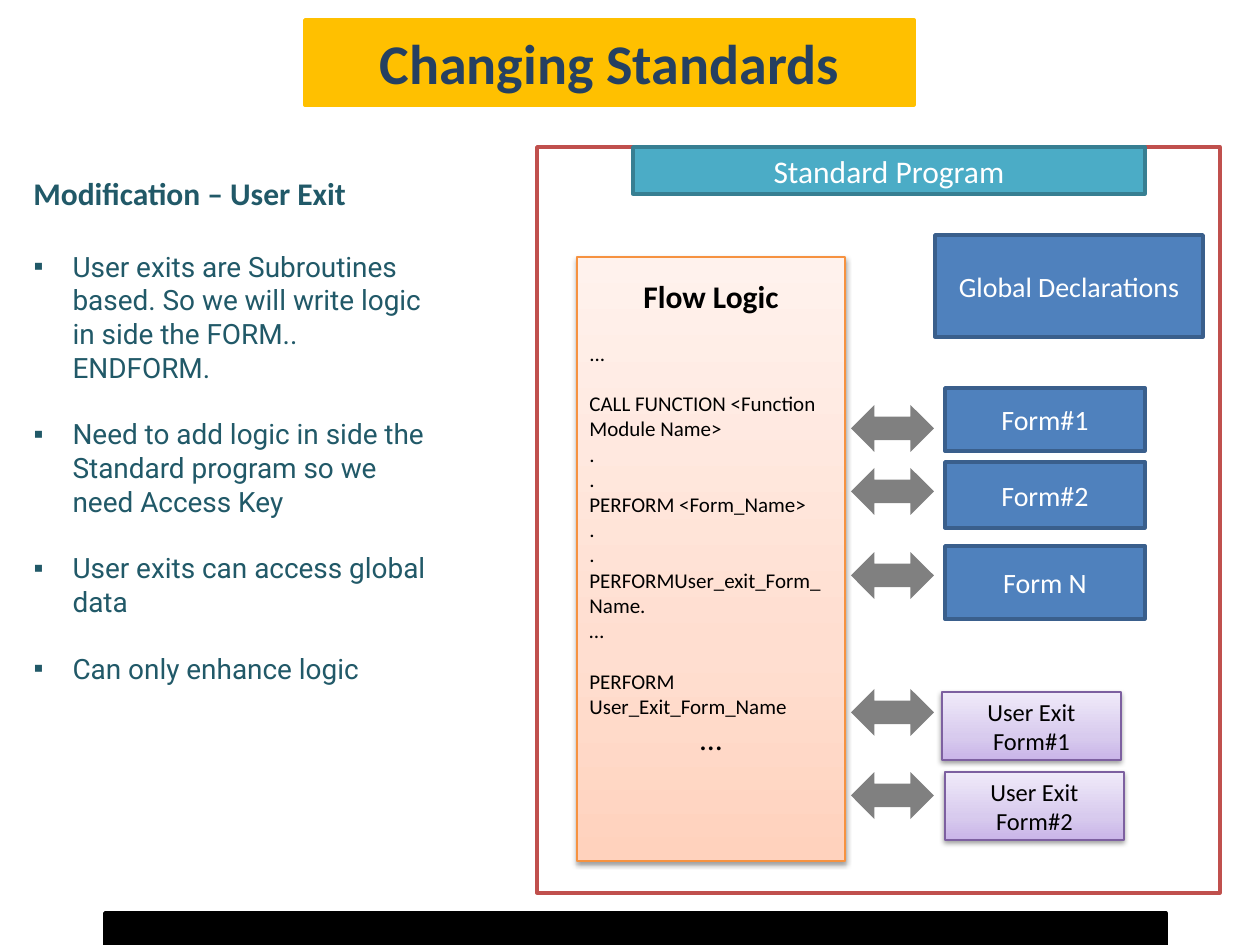
from copy import deepcopy
from dataclasses import dataclass

from lxml import etree
from pptx import Presentation
from pptx.dml.color import RGBColor
from pptx.enum.shapes import MSO_SHAPE
from pptx.enum.text import MSO_ANCHOR, MSO_AUTO_SIZE, PP_ALIGN
from pptx.oxml.ns import qn
from pptx.util import Emu, Pt

RECT, ARROW = MSO_SHAPE.RECTANGLE, MSO_SHAPE.LEFT_RIGHT_ARROW
TOP, MIDDLE = MSO_ANCHOR.TOP, MSO_ANCHOR.MIDDLE
LEFT, CENTER = PP_ALIGN.LEFT, PP_ALIGN.CENTER
NO_FIT = MSO_AUTO_SIZE.NONE
SCALE = 914400 / 126


@dataclass(frozen=True)
class Theme:
    font: str = "Calibri"
    list_font: str = "Roboto"
    gold: str = "FFC000"
    navy: str = "254061"
    teal: str = "215968"
    black: str = "000000"
    white: str = "FFFFFF"
    red: str = "C0504D"
    aqua: str = "4BACC6"
    aqua_edge: str = "377F92"
    blue: str = "4F81BD"
    blue_edge: str = "3A5F8C"
    gray: str = "808080"
    peach: tuple = ("FFD2BD", "FFDED0", "FFF2ED")
    peach_edge: str = "F69240"
    lilac: tuple = ("C9B5E8", "D8CBEE", "F0EAF9")
    lilac_edge: str = "7D60A0"
    title: int = 32
    head: int = 18
    body: int = 16
    note: int = 14
    code: int = 12


def px(num):
    return Emu(round(num * SCALE))


def rgb(code):
    return RGBColor.from_string(code)


class Board:
    """Holds the theme and the current slide, and draws each kind of element."""

    def __init__(self, slide, theme):
        self.slide, self.theme = slide, theme

    def place(self, shape, at):
        shape.left, shape.top, shape.width, shape.height = map(px, at)

    def paint(self, shape, fill, edge, width=2):
        shape.fill.solid()
        shape.fill.fore_color.rgb = rgb(fill)
        if edge:
            shape.line.color.rgb = rgb(edge)
            shape.line.width = Pt(width)
        else:
            shape.line.fill.background()

    def shade(self, shape, tones):
        shape.fill.gradient()
        shape.fill.gradient_angle = 90
        props = shape._element.spPr
        stops = props.find(".//" + qn("a:gsLst"))
        stops.insert(1, deepcopy(stops[0]))
        for stop, spot, tone in zip(shape.fill.gradient_stops, (0, 0.35, 1), tones):
            stop.position = spot
            stop.color.rgb = rgb(tone)
        drop = etree.SubElement(props.find(qn("a:effectLst")), qn("a:outerShdw"),
                                blurRad=str(Pt(3.1)), dist=str(Pt(1.6)),
                                dir="5400000", rotWithShape="0")
        color = etree.SubElement(drop, qn("a:srgbClr"), val=self.theme.black)
        etree.SubElement(color, qn("a:alpha"), val="38000")

    def frame(self, shape, anchor):
        frame = shape.text_frame
        frame.word_wrap = True
        frame.auto_size = NO_FIT
        frame.vertical_anchor = anchor
        return frame

    def text(self, para, words, size, color, bold=False, align=CENTER, gap=0, font=None):
        para.alignment = align
        para.space_before = Pt(gap)
        run = para.add_run()
        run.text = words
        run.font.name = font or self.theme.font
        run.font.size = Pt(size)
        run.font.bold = bold
        run.font.color.rgb = rgb(color)

    def title(self, at, words):
        shape = self.slide.shapes.title
        self.place(shape, at)
        self.paint(shape, self.theme.gold, self.theme.gold)
        para = self.frame(shape, MIDDLE).paragraphs[0]
        self.text(para, words, self.theme.title, self.theme.navy, True)

    def bullets(self, at, items, gap):
        shape = self.slide.placeholders[1]
        self.place(shape, at)
        frame = self.frame(shape, TOP)
        for num, item in enumerate(items):
            para = frame.add_paragraph() if num else frame.paragraphs[0]
            props = para._p.get_or_add_pPr()
            props.set("marL", str(px(39)))
            props.set("indent", str(-px(39)))
            etree.SubElement(props, qn("a:buChar"), char="▪")
            self.text(para, item, self.theme.body, self.theme.teal, align=LEFT,
                      gap=gap if num else 0, font=self.theme.list_font)

    def label(self, at, words):
        shape = self.slide.shapes.add_textbox(*map(px, at))
        para = self.frame(shape, TOP).paragraphs[0]
        self.text(para, words, self.theme.head, self.theme.teal, True, LEFT)

    def shape(self, at, fill, edge=None, kind=RECT):
        shape = self.slide.shapes.add_shape(kind, *map(px, at))
        shape.shadow.inherit = False
        self.paint(shape, fill, edge)
        return shape

    def box(self, at, words, fill, edge, size):
        shape = self.shape(at, fill, edge)
        para = self.frame(shape, MIDDLE).paragraphs[0]
        self.text(para, words, size, self.theme.white)

    def card(self, at, tones, edge, anchor=MIDDLE):
        shape = self.shape(at, tones[0])
        self.shade(shape, tones)
        shape.line.color.rgb = rgb(edge)
        shape.line.width = Pt(0.75)
        return self.frame(shape, anchor)

    def hook(self, at, words):
        frame = self.card(at, self.theme.lilac, self.theme.lilac_edge)
        self.text(frame.paragraphs[0], words, self.theme.note, self.theme.black)

    def flow(self, at, head, lines, last, gap):
        look = self.theme
        frame = self.card(at, look.peach, look.peach_edge, TOP)
        frame.margin_top = px(20)
        self.text(frame.paragraphs[0], head, look.head, look.black, True)
        for words, apart in lines:
            self.text(frame.add_paragraph(), words, look.code, look.black,
                      align=LEFT, gap=gap if apart else 0)
        self.text(frame.add_paragraph(), last, look.head, look.black)


def main():
    deck = Presentation()
    deck.slide_width, deck.slide_height = px(1260), px(945)
    look = Theme()
    board = Board(deck.slides.add_slide(deck.slide_layouts[1]), look)

    board.title((305, 20, 609, 85), "Changing Standards")
    board.shape((105, 913, 1061, 32), look.black, look.black)
    board.label((21, 168, 431, 50), "Modification – User Exit")
    board.bullets((21, 243, 431, 454), (
        "User exits are Subroutines based. So we will write logic in side the FORM.. ENDFORM.",
        "Need to add logic in side the Standard program so we need Access Key",
        "User exits can access global data",
        "Can only enhance logic"), 19)

    board.shape((537, 147, 683, 746), look.white, look.red)
    board.box((633, 147, 512, 47), "Standard Program", look.aqua, look.aqua_edge, look.head)
    for at, words in (((935, 235, 268, 102), "Global Declarations"),
                      ((945, 388, 200, 63), "Form#1"),
                      ((945, 462, 200, 66), "Form#2"),
                      ((945, 546, 200, 73), "Form N")):
        board.box(at, words, look.blue, look.blue_edge, look.body)

    board.flow((577, 257, 268, 604), "Flow Logic", (
        ("...", True),
        ("CALL FUNCTION <Function Module Name>", True),
        (".", False),
        (".", False),
        ("PERFORM <Form_Name>", False),
        (".", False),
        (".", False),
        ("PERFORMUser_exit_Form_Name.", False),
        ("…", False),
        ("PERFORM User_Exit_Form_Name", True)), "…", 14.5)

    board.hook((942, 692, 179, 68), "User Exit Form#1")
    board.hook((945, 772, 179, 68), "User Exit Form#2")
    for top in (405, 468, 552, 689, 772):
        board.shape((851, top, 83, 47), look.gray, kind=ARROW)

    deck.save("out.pptx")


if __name__ == "__main__":
    main()
